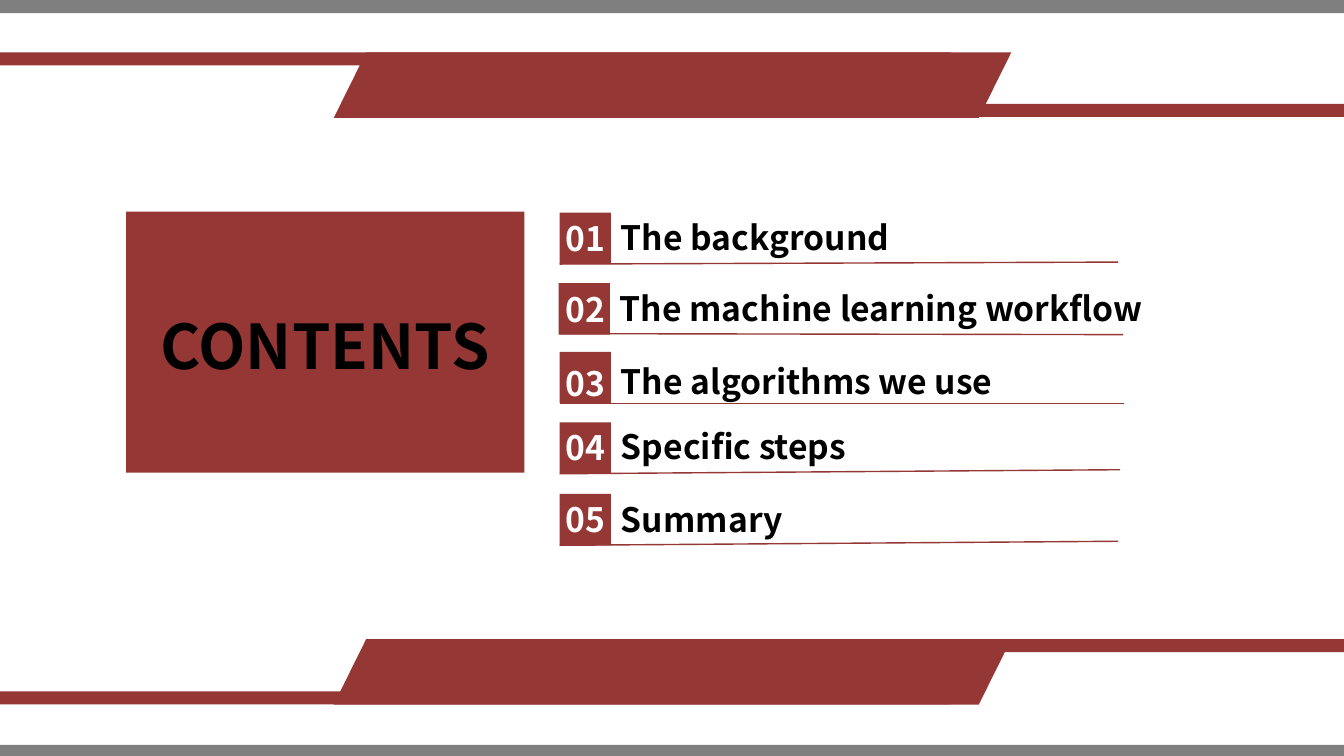
from pptx import Presentation
from pptx.dml.color import RGBColor
from pptx.enum.shapes import MSO_CONNECTOR, MSO_SHAPE
from pptx.enum.text import MSO_AUTO_SIZE, PP_ALIGN
from pptx.oxml.ns import qn
from pptx.util import Pt
from lxml import etree

PX = 9144
W, H = 1333, 750
FONT = "Noto Sans CJK SC"
COLORS = {"red": "953734", "gray": "7F7F7F", "black": "000000", "white": "FFFFFF"}

HEADING = "CONTENTS"
# left, title top, number top, square top, line (y1, x2, y2), title
ROWS = [
    (555, 210, 211, 211, (262, 1109, 260), "The background"),
    (554, 281, 282, 281, (331, 1114, 332), "The machine learning workflow"),
    (555, 353, 355, 349, (400, 1115, 400), "The algorithms we use"),
    (555, 418, 419, 419, (470, 1111, 466), "Specific steps"),
    (555, 490, 490, 490, (541, 1109, 537), "Summary"),
]
SQUARE, TEXT_H, TITLE_W, NUMBER_W = 51, 50, 558, 113
PANEL = (125, 210, 395, 259)
HEADING_BOX = (137, 301, 371, 145)

BAR = 13
BARS = [
    (0, 0, W, "gray"),
    (0, 739, W, "gray"),
    (0, 52, 943, "red"),
    (390, 103, 943, "red"),
    (0, 686, 943, "red"),
    (460, 634, 873, "red"),
]
BANNER_X, BANNER_W, BANNER_H = 331, 672, 65
BANNER_TOPS = [52, 634]
BANNER_SLANT = 0.496


def rgb(name):
    return RGBColor.from_string(COLORS[name])


def add_block(s, box, color, kind=MSO_SHAPE.RECTANGLE):
    sp = s.shapes.add_shape(kind, *(v * PX for v in box))
    sp.shadow.inherit = False
    sp.fill.solid()
    sp.fill.fore_color.rgb = rgb(color)
    sp.line.fill.background()
    return sp


def add_text(s, box, text, size, color, align=PP_ALIGN.LEFT):
    tf = s.shapes.add_textbox(*(v * PX for v in box)).text_frame
    tf.word_wrap = True
    tf.auto_size = MSO_AUTO_SIZE.SHAPE_TO_FIT_TEXT
    p = tf.paragraphs[0]
    p.alignment = align
    r = p.add_run()
    r.text = text
    r.font.name = FONT
    r.font.size = Pt(size)
    r.font.bold = True
    r.font.color.rgb = rgb(color)


def add_rule(s, *ends):
    line = s.shapes.add_connector(MSO_CONNECTOR.STRAIGHT, *(v * PX for v in ends))
    line.line.color.rgb = rgb("red")
    line.line.width = Pt(1)
    etree.SubElement(line._element.spPr, qn("a:effectLst"))


def main():
    prs = Presentation()
    prs.slide_width, prs.slide_height = W * PX, H * PX
    s = prs.slides.add_slide(prs.slide_layouts[6])

    for x, y, w, color in BARS:
        add_block(s, (x, y, w, BAR), color)
    for y in BANNER_TOPS:
        banner = add_block(s, (BANNER_X, y, BANNER_W, BANNER_H), "red", MSO_SHAPE.PARALLELOGRAM)
        banner.adjustments[0] = BANNER_SLANT

    add_block(s, PANEL, "red")
    add_text(s, HEADING_BOX, HEADING, 44, "black", PP_ALIGN.CENTER)

    for i, (x, title_y, number_y, square_y, (y1, x2, y2), title) in enumerate(ROWS, 1):
        add_rule(s, 555, y1, x2, y2)
        add_block(s, (x, square_y, SQUARE, SQUARE), "red")
        add_text(s, (x + SQUARE, title_y, TITLE_W, TEXT_H), title, 24, "black")
        add_text(s, (524, number_y, NUMBER_W, TEXT_H), f"{i:02d}", 24, "white", PP_ALIGN.CENTER)

    prs.save("out.pptx")


if __name__ == "__main__":
    main()
